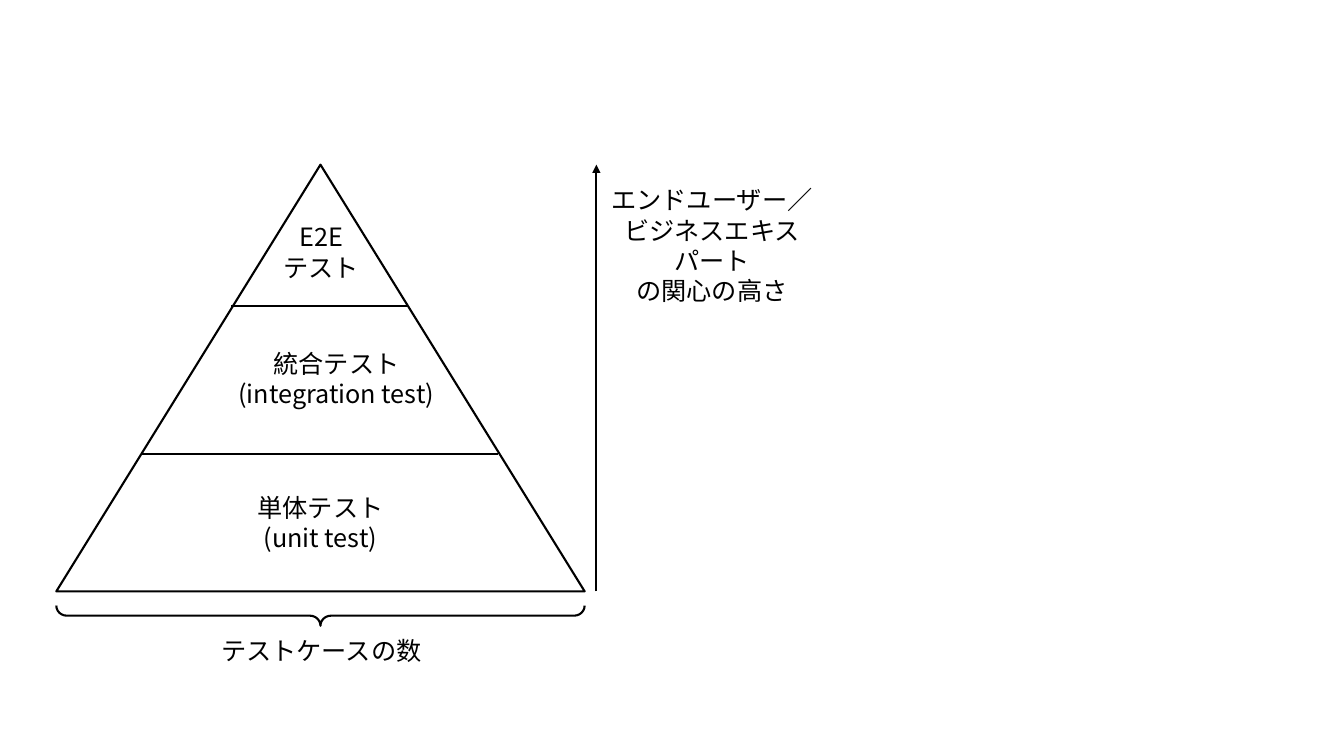
import pptx
import pptx.dml.color
import pptx.enum.shapes
import pptx.enum.text
import pptx.oxml.ns
import pptx.util
from dataclasses import dataclass
from lxml import etree


@dataclass(frozen=True)
class Theme:
    ink: str = "000000"
    paper: str = "FFFFFF"
    font: str = "Noto Sans CJK JP"
    text_size: int = 18
    line_width: float = 1.5


class Diagram:
    COLUMNS = 16
    ROWS = 9

    def __init__(self, presentation, theme):
        self.theme = theme
        self.column = presentation.slide_width / self.COLUMNS
        self.row = presentation.slide_height / self.ROWS
        self.slide = presentation.slides.add_slide(presentation.slide_layouts[6])

    def place(self, *cells):
        units = (self.column, self.row) * 2
        return [round(cell * unit) for cell, unit in zip(cells, units)]

    def color(self, value):
        return pptx.dml.color.RGBColor.from_string(value)

    def outline(self, element):
        element.line.color.rgb = self.color(self.theme.ink)
        element.line.width = pptx.util.Pt(self.theme.line_width)

    def pyramid(self, left, top, width, height):
        triangle = self.slide.shapes.add_shape(
            pptx.enum.shapes.MSO_SHAPE.ISOSCELES_TRIANGLE,
            *self.place(left, top, width, height))
        triangle.shadow.inherit = False
        triangle.fill.solid()
        triangle.fill.fore_color.rgb = self.color(self.theme.paper)
        self.outline(triangle)

    def brace_below(self, left, top, width, depth):
        x, y, span, thickness = self.place(left, top, width, depth)
        shift = (span - thickness) // 2
        brace = self.slide.shapes.add_shape(
            pptx.enum.shapes.MSO_SHAPE.RIGHT_BRACE,
            x + shift, y - shift, thickness, span)
        brace.rotation = 90
        brace.adjustments[0] = 0.52
        brace.adjustments[1] = 0.5
        brace.shadow.inherit = False
        brace.fill.background()
        self.outline(brace)

    def line(self, start_x, start_y, end_x, end_y, arrow=False):
        connector = self.slide.shapes.add_connector(
            pptx.enum.shapes.MSO_CONNECTOR.STRAIGHT,
            *self.place(start_x, start_y, end_x, end_y))
        self.outline(connector)
        if arrow:
            etree.SubElement(connector.line._get_or_add_ln(),
                             pptx.oxml.ns.qn("a:tailEnd"), type="triangle")
        etree.SubElement(connector._element.spPr, pptx.oxml.ns.qn("a:effectLst"))

    def label(self, left, top, lines, width=2.75):
        height = 0.12 + 0.36 * len(lines)
        box = self.slide.shapes.add_textbox(*self.place(left, top, width, height))
        frame = box.text_frame
        frame.word_wrap = True
        frame.auto_size = pptx.enum.text.MSO_AUTO_SIZE.SHAPE_TO_FIT_TEXT
        for index, words in enumerate(lines):
            paragraph = frame.add_paragraph() if index else frame.paragraphs[0]
            paragraph.alignment = pptx.enum.text.PP_ALIGN.CENTER
            run = paragraph.add_run()
            run.text = words
            run.font.size = pptx.util.Pt(self.theme.text_size)
            run.font.color.rgb = self.color(self.theme.ink)
            run.font.name = self.theme.font
            etree.SubElement(run._r.get_or_add_rPr(), pptx.oxml.ns.qn("a:ea"),
                             typeface=self.theme.font)


def main():
    presentation = pptx.Presentation()
    presentation.slide_width = pptx.util.Inches(13.33)
    presentation.slide_height = pptx.util.Inches(7.5)
    diagram = Diagram(presentation, Theme())

    left, width = 0.67, 6.29
    apex, base = 1.96, 7.04
    interest_axis = 7.1

    diagram.pyramid(left, apex, width, base - apex)
    for divider_start, divider_end, level in ((2.75, 4.86, 3.64), (1.68, 5.93, 5.4)):
        diagram.line(divider_start, level, divider_end, level)

    labels = (
        (2.44, 5.8, ("単体テスト", "(unit test)")),
        (2.63, 4.09, ("統合テスト", "(integration test)")),
        (2.45, 2.58, ("E2E", "テスト")),
        (2.45, 7.5, ("テストケースの数",)),
        (interest_axis, 2.14,
         ("エンドユーザー／", "ビジネスエキスパート", "の関心の高さ")),
    )
    for label_left, label_top, lines in labels:
        diagram.label(label_left, label_top, lines)

    diagram.brace_below(left, 7.21, width, 0.24)
    diagram.line(interest_axis, base, interest_axis, apex, arrow=True)
    presentation.save("out.pptx")


if __name__ == "__main__":
    main()
